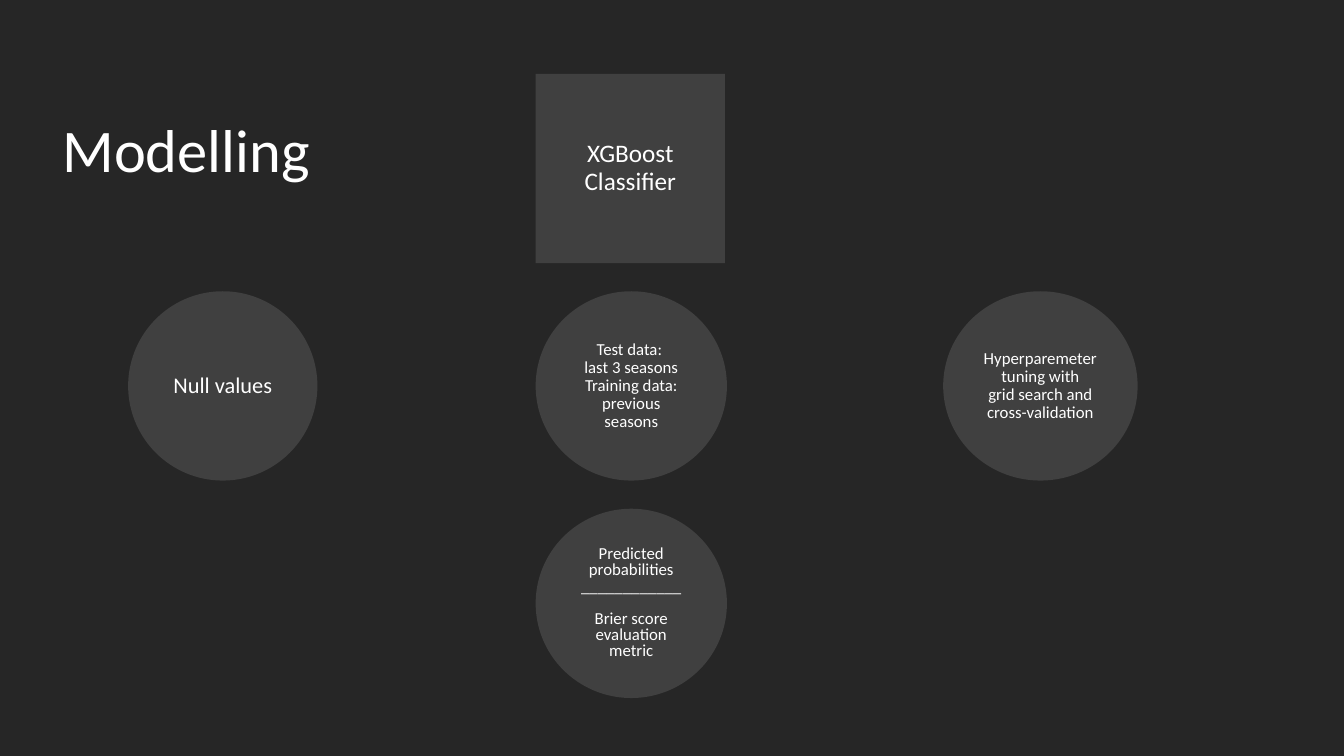
from pptx import Presentation
from pptx.dml.color import RGBColor
from pptx.enum.shapes import MSO_SHAPE
from pptx.enum.text import MSO_ANCHOR, MSO_AUTO_SIZE, PP_ALIGN
from pptx.util import Cm, Pt

BACKGROUND = RGBColor(0x26, 0x26, 0x26)
SHAPE_GRAY = RGBColor(0x40, 0x40, 0x40)
WHITE = RGBColor(0xFF, 0xFF, 0xFF)


def write_text(shape, lines, size, spacing, align=PP_ALIGN.CENTER,
               anchor=MSO_ANCHOR.MIDDLE, gaps=None):
    """Write one paragraph per line; gaps maps a line index to space before."""
    frame = shape.text_frame
    frame.word_wrap = True
    frame.auto_size = MSO_AUTO_SIZE.NONE
    frame.vertical_anchor = anchor
    for index, line in enumerate(lines):
        paragraph = frame.paragraphs[0] if index == 0 else frame.add_paragraph()
        paragraph.text = line
        paragraph.alignment = align
        paragraph.line_spacing = spacing
        paragraph.space_before = Pt((gaps or {}).get(index, 0))
        paragraph.font.name = "Calibri"
        paragraph.font.size = Pt(size)
        paragraph.font.color.rgb = WHITE


presentation = Presentation()
presentation.slide_width = Cm(33.87)
presentation.slide_height = Cm(19.05)
slide = presentation.slides.add_slide(presentation.slide_layouts[5])
slide.background.fill.solid()
slide.background.fill.fore_color.rgb = BACKGROUND

# Title
title = slide.shapes.title
title.left, title.top, title.width, title.height = Cm(1.32), Cm(3.12), Cm(11.18), Cm(1.6)
write_text(title, ["Modelling"], 43.2, 0.7, align=PP_ALIGN.LEFT, anchor=MSO_ANCHOR.BOTTOM)

# Model square and the circles around it, on a grid of columns and rows
FIRST_LEFT, COLUMN_STEP = 3.23, 10.27
FIRST_TOP, ROW_STEP = 1.86, 5.48
HEIGHT = 4.77

# Each node: shape, column, row, width, lines, size, line spacing, gaps
nodes = [
    (MSO_SHAPE.RECTANGLE, 1, 0, 4.77, ["XGBoost Classifier"], 18, 0.9, None),
    (MSO_SHAPE.OVAL, 0, 1, 4.77, ["Null values"], 16, 0.9, None),
    (MSO_SHAPE.OVAL, 1, 1, 4.82,
     ["Test data: ", "last 3 seasons", "Training data: previous seasons"], 12, 0.9, None),
    (MSO_SHAPE.OVAL, 2, 1, 4.9,
     ["Hyperparemeter tuning with", "grid search and", "cross-validation"], 12, 0.9, None),
    (MSO_SHAPE.OVAL, 1, 2, 4.82,
     ["Predicted probabilities", "____________", "Brier score evaluation metric"],
     12, 0.8, {2: 11.5}),
]
for kind, column, row, width, lines, size, spacing, gaps in nodes:
    shape = slide.shapes.add_shape(
        kind, Cm(FIRST_LEFT + column * COLUMN_STEP), Cm(FIRST_TOP + row * ROW_STEP),
        Cm(width), Cm(HEIGHT))
    shape.shadow.inherit = False
    shape.fill.solid()
    shape.fill.fore_color.rgb = SHAPE_GRAY
    shape.line.fill.background()
    write_text(shape, lines, size, spacing, gaps=gaps)

presentation.save("out.pptx")
